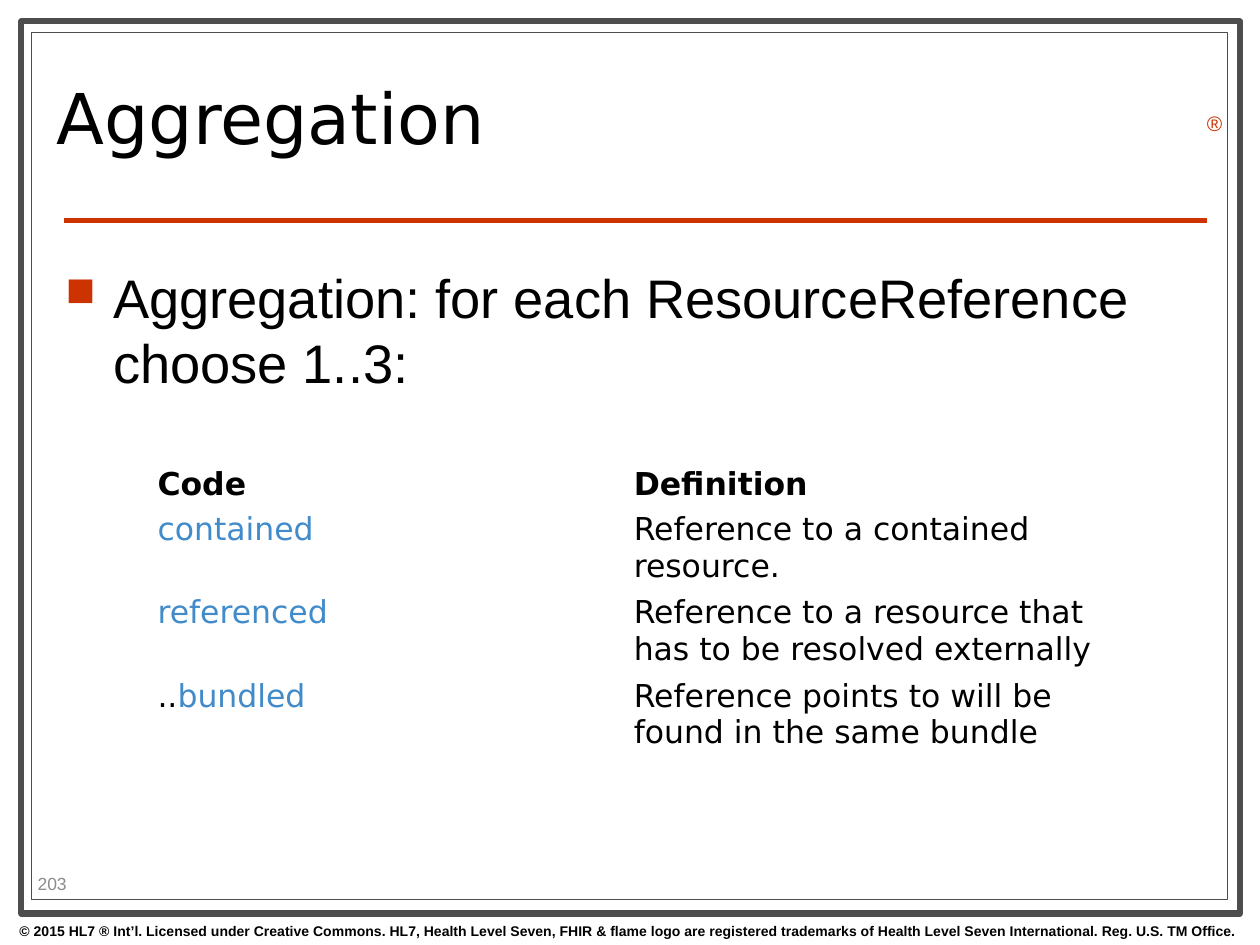
from lxml import etree
from pptx import Presentation
from pptx.dml.color import RGBColor
from pptx.enum.shapes import MSO_CONNECTOR, MSO_SHAPE
from pptx.enum.text import MSO_ANCHOR, PP_ALIGN
from pptx.oxml.ns import qn
from pptx.util import Inches, Pt

RECTANGLE = MSO_SHAPE.RECTANGLE
STRAIGHT = MSO_CONNECTOR.STRAIGHT
LEFT, CENTER = PP_ALIGN.LEFT, PP_ALIGN.CENTER
TOP, MIDDLE = MSO_ANCHOR.TOP, MSO_ANCHOR.MIDDLE
SANS, DISPLAY = "Arial", "DejaVu Sans"
COLORS = {
    "white": "FFFFFF", "black": "000000", "frame": "4D4D4D",
    "accent": "CC3300", "code": "428BCA", "number": "8C8C8C",
}


class SlideBuilder:
    def __init__(self, slide):
        self.slide = slide
        self.shapes = slide.shapes

    def color(self, name):
        return RGBColor.from_string(COLORS[name])

    def run(self, paragraph, text, size, font=SANS, color="black", bold=False):
        run = paragraph.add_run()
        run.text = text
        run.font.size = Pt(size)
        run.font.name = font
        run.font.bold = bold
        run.font.color.rgb = self.color(color)

    def frame(self, left, top, width, height, weight):
        border = self.shapes.add_shape(
            RECTANGLE, Inches(left), Inches(top), Inches(width), Inches(height))
        border.shadow.inherit = False
        border.fill.solid()
        border.fill.fore_color.rgb = self.color("white")
        border.line.color.rgb = self.color("frame")
        border.line.width = Pt(weight)

    def rule(self, left, right, y, weight):
        rule = self.shapes.add_connector(
            STRAIGHT, Inches(left), Inches(y), Inches(right), Inches(y))
        rule.line.color.rgb = self.color("accent")
        rule.line.width = Pt(weight)
        etree.SubElement(rule._element.spPr, qn("a:effectLst"))

    def title(self, text, left, top, width, height):
        title = self.shapes.title
        title.left, title.top = Inches(left), Inches(top)
        title.width, title.height = Inches(width), Inches(height)
        title.text_frame.vertical_anchor = MIDDLE
        paragraph = title.text_frame.paragraphs[0]
        paragraph.alignment = LEFT
        paragraph.line_spacing = 0.8
        self.run(paragraph, text, 40, DISPLAY)
        self.shapes._spTree.append(title._element)

    def text(self, text, left, top, width, height, size,
             align=LEFT, anchor=TOP, **style):
        box = self.shapes.add_textbox(
            Inches(left), Inches(top), Inches(width), Inches(height))
        box.text_frame.word_wrap = True
        box.text_frame.vertical_anchor = anchor
        paragraph = box.text_frame.paragraphs[0]
        paragraph.alignment = align
        self.run(paragraph, text, size, **style)
        return box

    def bullet(self, text, left, top, width, height, size):
        box = self.text(text, left, top, width, height, size)
        box.text_frame.margin_top = Inches(0.1)
        properties = box.text_frame.paragraphs[0]._p.get_or_add_pPr()
        indent = Inches(0.38)
        properties.set("marL", str(indent))
        properties.set("indent", str(-indent))
        bullet_color = etree.SubElement(properties, qn("a:buClr"))
        etree.SubElement(bullet_color, qn("a:srgbClr"), val=COLORS["accent"])
        etree.SubElement(properties, qn("a:buSzPct"), val="75000")
        etree.SubElement(properties, qn("a:buChar"), char="■")

    def table(self, rows, left, top, column_width, row_heights):
        columns = len(rows[0])
        table = self.shapes.add_table(
            len(rows), columns, Inches(left), Inches(top),
            Inches(column_width * columns), Inches(sum(row_heights))).table
        for column in table.columns:
            column.width = Inches(column_width)
        for r, (row, height) in enumerate(zip(rows, row_heights)):
            table.rows[r].height = Inches(height)
            for c, runs in enumerate(row):
                cell = table.cell(r, c)
                cell.fill.solid()
                cell.fill.fore_color.rgb = self.color("white")
                cell.margin_left = cell.margin_right = Inches(0.03)
                cell.margin_top = cell.margin_bottom = Inches(0.03)
                for text, color in runs:
                    self.run(cell.text_frame.paragraphs[0], text, 18,
                             DISPLAY, color, bold=r == 0)


def main():
    presentation = Presentation()
    presentation.slide_width, presentation.slide_height = Inches(10), Inches(7.5)
    builder = SlideBuilder(
        presentation.slides.add_slide(presentation.slide_layouts[5]))

    builder.frame(0.17, 0.17, 9.67, 7.08, 3.5)
    builder.frame(0.25, 0.26, 9.49, 6.88, 0.75)
    builder.rule(0.51, 9.58, 1.75, 3)
    builder.text(
        "© 2015 HL7 ® Int’l. Licensed under Creative Commons. HL7, Health Level "
        "Seven, FHIR & flame logo are registered trademarks of Health Level Seven "
        "International. Reg. U.S. TM Office.",
        -0.01, 7.27, 10, 0.23, 8, align=CENTER, bold=True)
    builder.text("®", 9.48, 0.83, 0.31, 0.3, 12, color="accent")
    builder.title("Aggregation", 0.35, 0.36, 7.17, 1.26)
    builder.bullet("Aggregation: for each ResourceReference choose 1..3:",
                   0.42, 2, 9.17, 5.06, 31)
    builder.text("203", 0.2, 6.89, 0.79, 0.24, 10, anchor=MIDDLE, color="number")

    definitions = [
        ([("Code", "black")], "Definition"),
        ([("contained", "code")], "Reference to a contained resource."),
        ([("referenced", "code")],
         "Reference to a resource that has to be resolved externally"),
        ([("..", "black"), ("bundled", "code")],
         "Reference points to will be found in the same bundle"),
    ]
    rows = [(code, [(definition, "black")]) for code, definition in definitions]
    builder.table(rows, 1.22, 3.67, 3.78, [0.36] + [0.64] * 3)

    presentation.save("out.pptx")


if __name__ == "__main__":
    main()
